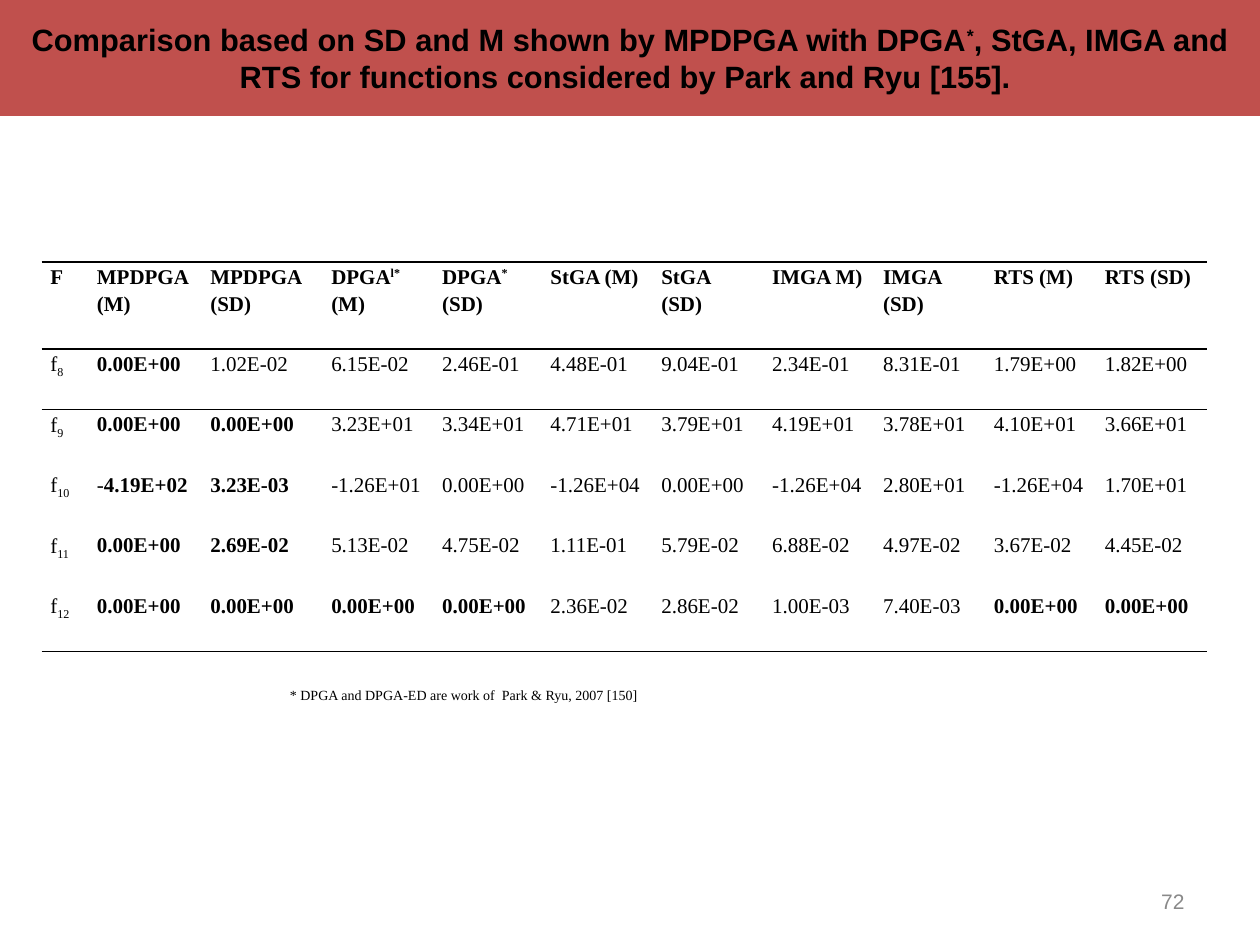
from lxml import etree
from pptx import Presentation
from pptx.dml.color import RGBColor
from pptx.enum import shapes, text
from pptx.oxml import ns
from pptx.util import Inches, Pt

COLORS = {"banner": "C0504D", "ink": "000000", "number": "898989"}
PLAIN_TABLE_STYLE = "{2D5ABB26-0587-4C30-8999-92F81FD0307C}"
BASELINES = {"^": "30000", "_": "-25000"}

# "|" splits runs; a run may start with "!" (bold), "^" (superscript) or "_" (subscript).
HEADERS = ["F", "MPDPGA(M)", "MPDPGA (SD)", "DPGA|^l*| (M)", "DPGA|^*| (SD)", "StGA (M)",
           "StGA (SD)", "IMGA M)", "IMGA (SD)", "RTS (M)", "RTS (SD)"]
RESULTS = """
f|_8 !0.00E+00 1.02E-02 6.15E-02 2.46E-01 4.48E-01 9.04E-01 2.34E-01 8.31E-01 1.79E+00 1.82E+00
f|_9 !0.00E+00 !0.00E+00 3.23E+01 3.34E+01 4.71E+01 3.79E+01 4.19E+01 3.78E+01 4.10E+01 3.66E+01
f|_10 -|!4.19E+02 !3.23E-03 -1.26E+01 0.00E+00 -1.26E+04 0.00E+00 -1.26E+04 2.80E+01 -1.26E+04 1.70E+01
f|_11 !0.00E+00 !2.69E-02 5.13E-02 4.75E-02 1.11E-01 5.79E-02 6.88E-02 4.97E-02 3.67E-02 4.45E-02
f|_12 !0.00E+00 !0.00E+00 !0.00E+00 !0.00E+00 2.36E-02 2.86E-02 1.00E-03 7.40E-03 !0.00E+00 !0.00E+00
"""
COLUMN_WIDTHS = [0.37, 0.9, 0.96, 0.88, 0.86] + [0.88] * 6
ROW_HEIGHTS = [0.69] + [0.48] * 5


def add_runs(paragraph, marked_text, font_name, size, color="ink", bold=False):
    for part in marked_text.split("|"):
        mark = part[0] if part[0] in "!^_" else ""
        run = paragraph.add_run()
        run.text = part[len(mark):]
        run.font.name = font_name
        run.font.size = Pt(size)
        run.font.bold = bold or mark == "!"
        run.font.color.rgb = RGBColor.from_string(COLORS[color])
        if mark in BASELINES:
            run.font._element.set("baseline", BASELINES[mark])


def add_plain_table(slide, left, top, widths, heights):
    frame = slide.shapes.add_table(len(heights), len(widths), Inches(left), Inches(top),
                                   Inches(sum(widths)), Inches(sum(heights)))
    table = frame.table
    table.first_row = table.horz_banding = False
    table._tbl.tblPr.find(ns.qn("a:tableStyleId")).text = PLAIN_TABLE_STYLE
    for column, width in zip(table.columns, widths):
        column.width = Inches(width)
    for row, height in zip(table.rows, heights):
        row.height = Inches(height)
    return table


def set_margins(cell, horizontal, vertical):
    cell.margin_left = cell.margin_right = Inches(horizontal)
    cell.margin_top = cell.margin_bottom = Inches(vertical)


def add_border(cell, tag):
    line = etree.SubElement(cell._tc.get_or_add_tcPr(), ns.qn(tag), w=str(Pt(1)))
    fill = etree.SubElement(line, ns.qn("a:solidFill"))
    etree.SubElement(fill, ns.qn("a:srgbClr"), val=COLORS["ink"])


def add_title_banner(slide, left, top, width, height):
    banner = slide.shapes.add_shape(shapes.MSO_SHAPE.RECTANGLE, Inches(left), Inches(top),
                                    Inches(width), Inches(height))
    banner.shadow.inherit = False
    banner.fill.solid()
    banner.fill.fore_color.rgb = RGBColor.from_string(COLORS["banner"])
    banner.line.fill.background()
    banner.text_frame.word_wrap = True
    banner.text_frame.vertical_anchor = text.MSO_ANCHOR.MIDDLE
    paragraph = banner.text_frame.paragraphs[0]
    paragraph.alignment = text.PP_ALIGN.CENTER
    add_runs(paragraph, "Comparison based on SD and M shown by MPDPGA with DPGA|^*|, StGA, IMGA "
             "and RTS for functions considered by Park and Ryu [155]. ", "Arial", 17.6, bold=True)


def add_results_table(slide, left, top):
    rows = [HEADERS] + [line.split() for line in RESULTS.strip().splitlines()]
    table = add_plain_table(slide, left, top, COLUMN_WIDTHS, ROW_HEIGHTS)
    for row_index, row in enumerate(rows):
        for column_index, value in enumerate(row):
            cell = table.cell(row_index, column_index)
            set_margins(cell, 0.07, 0)
            if row_index in (0, 1):
                add_border(cell, "a:lnT")
            if row_index in (0, len(rows) - 1):
                add_border(cell, "a:lnB")
            cell.fill.background()
            paragraph = cell.text_frame.paragraphs[0]
            paragraph.line_spacing = 1.15
            paragraph.space_after = Pt(10)
            add_runs(paragraph, value, "Times New Roman", 12, bold=row_index == 0)


def add_footnote(slide, left, top, width, height):
    cell = add_plain_table(slide, left, top, [width], [height]).cell(0, 0)
    set_margins(cell, 0.13, 0.13)
    cell.fill.background()
    paragraph = cell.text_frame.paragraphs[0]
    paragraph.space_after = Pt(2)
    properties = paragraph._p.get_or_add_pPr()
    properties.set("marL", str(Inches(0.38)))
    properties.set("indent", str(Inches(-0.38)))
    tabs = etree.SubElement(properties, ns.qn("a:tabLst"))
    for position in (0.45, 0.5):
        etree.SubElement(tabs, ns.qn("a:tab"), pos=str(Inches(position)), algn="l")
    add_runs(paragraph, "* DPGA and DPGA-ED are work of  Park & Ryu, 2007 [150]",
             "Times New Roman", 8)


def add_slide_number(slide, left, top, width, height):
    box = slide.shapes.add_textbox(Inches(left), Inches(top), Inches(width), Inches(height))
    box.text_frame.word_wrap = True
    box.text_frame.vertical_anchor = text.MSO_ANCHOR.MIDDLE
    paragraph = box.text_frame.paragraphs[0]
    paragraph.alignment = text.PP_ALIGN.RIGHT
    add_runs(paragraph, "72", "Arial", 12, "number")


def main():
    presentation = Presentation()
    presentation.slide_width = Inches(10)
    presentation.slide_height = Inches(7.5)
    slide = presentation.slides.add_slide(presentation.slide_layouts[6])
    add_title_banner(slide, 0, 0, 10, 0.92)
    add_results_table(slide, 0.33, 2.08)
    add_footnote(slide, 2.17, 5.33, 6.67, 0.39)
    add_slide_number(slide, 7.17, 6.95, 2.33, 0.4)
    presentation.save("out.pptx")


if __name__ == "__main__":
    main()
